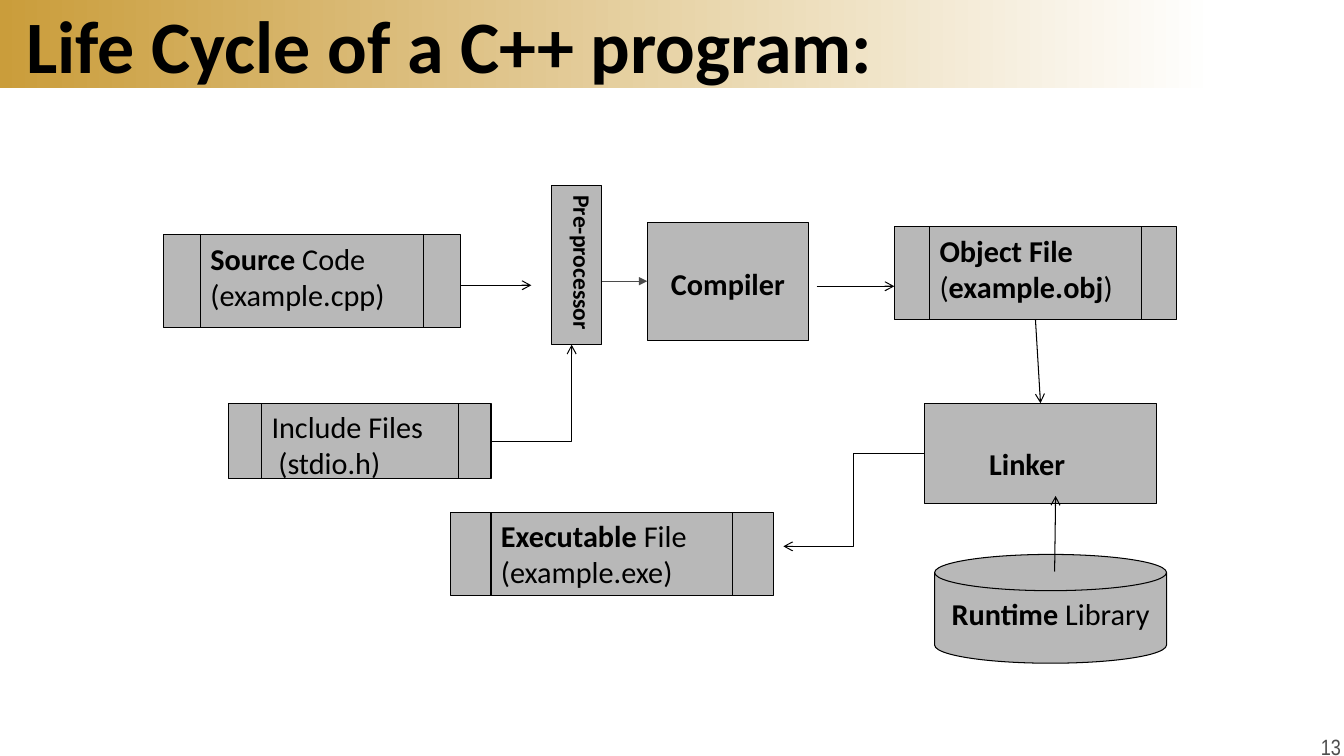
"""Build the slide on the life cycle of a C++ program."""
from lxml import etree
from pptx import Presentation
from pptx.dml.color import RGBColor
from pptx.enum import shapes as kinds, text as styles
from pptx.oxml.ns import qn
from pptx.util import Inches, Pt

TITLE = "Life Cycle of a C++ program:"
NUMBER = "13"
FONT = "Calibri"
GREY, BLACK, DARK = "B8B8B8", "000000", "4B4B4B"
FORM = kinds.MSO_SHAPE
FILE, DISK, RECT = FORM.FLOWCHART_PREDEFINED_PROCESS, FORM.FLOWCHART_MAGNETIC_DISK, FORM.RECTANGLE
LEFT, MID = styles.PP_ALIGN.LEFT, styles.PP_ALIGN.CENTER
LINE, ELBOW = kinds.MSO_CONNECTOR.STRAIGHT, kinds.MSO_CONNECTOR.ELBOW

BOXES = [
    (RECT, (6.42, 2.21, 1.6, 1.17), MID, (0.1, 0.42), [[("Compiler", True)]]),
    (FILE, (8.87, 2.25, 2.8, 0.92), LEFT, (0.1, 0.05),
     [[("Object File", True)], [("(", False), ("example.obj", True), (")", False)]]),
    (FILE, (2.27, 4, 2.6, 0.75), LEFT, (0.1, 0.05),
     [[("Include Files", False)], [(" (stdio.h)", False)]]),
    (FILE, (1.62, 2.33, 2.95, 0.92), LEFT, (0.1, 0.05),
     [[("Source", True), (" Code (example.cpp)", False)]]),
    (RECT, (9.17, 4, 2.3, 1), LEFT, (0.64, 0.42), [[("Linker", True)]]),
    (DISK, (9.27, 5.5, 2.3, 1.08), MID, (0.1, 0.05),
     [[("Runtime", True), (" Library", False)]]),
    (FILE, (4.47, 5.08, 3.2, 0.83), LEFT, (0.1, 0.05),
     [[("Executable", True), (" File (example.exe)", False)]]),
]
STAGE = (RECT, (5.47, 1.84, 0.5, 1.58), LEFT, (0.1, 0.05), [[("Pre-processor", True)]])

ARROWS = [
    (LINE, (4.57, 2.83, 5.27, 2.83), BLACK, "arrow"),
    (LINE, (8.1, 2.84, 8.87, 2.84), BLACK, "arrow"),
    (LINE, (10.27, 3.17, 10.32, 4), BLACK, "arrow"),
    (LINE, (10.46, 5.67, 10.47, 4.92), BLACK, "arrow"),
    (LINE, (5.97, 2.79, 6.42, 2.79), DARK, "triangle"),
    (ELBOW, (9.17, 4.5, 7.77, 5.42), BLACK, "arrow"),
]
CORNER = (ELBOW, (4.87, 4.38, 5.67, 3.42), BLACK, "arrow")


def tint(hue):
    return RGBColor.from_string(hue)


def inches(place):
    return [Inches(n) for n in place]


def style(font, size, hue=BLACK, bold=False, name=FONT):
    font.name, font.size, font.bold = name, Pt(size), bold
    font.color.rgb = tint(hue)


def add_box(slide, form, place, align, inset, lines, size=21.6):
    box = slide.shapes.add_shape(form, *inches(place))
    box.shadow.inherit = False
    box.fill.solid()
    box.fill.fore_color.rgb = tint(GREY)
    box.line.color.rgb = tint(BLACK)
    box.line.width = Pt(0.75)
    frame = box.text_frame
    frame.word_wrap = True
    frame.vertical_anchor = styles.MSO_ANCHOR.TOP
    frame.margin_left, frame.margin_top = inches(inset)
    for i, line in enumerate(lines):
        para = frame.add_paragraph() if i else frame.paragraphs[0]
        para.alignment = align
        for words, bold in line:
            run = para.add_run()
            run.text = words
            style(run.font, size, bold=bold)
    return box


def add_arrow(slide, kind, ends, hue, head):
    arrow = slide.shapes.add_connector(kind, *inches(ends))
    arrow.line.color.rgb = tint(hue)
    arrow.line.width = Pt(0.75)
    props = arrow.element.spPr
    etree.SubElement(props.find(qn("a:ln")), qn("a:tailEnd"), type=head)
    etree.SubElement(props, qn("a:effectLst"))
    return arrow


def add_head(slide):
    title = slide.shapes.title
    title.left, title.top, title.width, title.height = inches((0.26, 0.1, 12.81, 0.68))
    frame = title.text_frame
    frame.text = TITLE
    frame.auto_size = styles.MSO_AUTO_SIZE.NONE
    frame.vertical_anchor = styles.MSO_ANCHOR.MIDDLE
    frame.margin_left = frame.margin_top = frame.margin_right = frame.margin_bottom = 0
    frame.paragraphs[0].alignment = LEFT
    style(frame.paragraphs[0].runs[0].font, 52.8, bold=True)

    band = slide.shapes.add_shape(RECT, *inches((0, 0, 12.06, 0.87)))
    band.shadow.inherit = False
    band.line.fill.background()
    band.fill.gradient()
    band.fill.gradient_angle = 0
    for stop, hue in zip(band.fill.gradient_stops, ("CA9D3B", "FFFFFF")):
        stop.color.rgb = tint(hue)
    title.element.addprevious(band.element)


def add_number(slide):
    frame = slide.shapes.add_textbox(*inches((13.04, 7.24, 0.32, 0.26))).text_frame
    frame.text = NUMBER
    frame.word_wrap = False
    frame.margin_left = frame.margin_right = 0
    frame.margin_top = frame.margin_bottom = Inches(0.04)
    frame.paragraphs[0].alignment = MID
    style(frame.paragraphs[0].runs[0].font, 15.8, "4D4D4D", name="Arial Narrow")


def main():
    deck = Presentation()
    deck.slide_width, deck.slide_height = inches((13.33, 7.5))
    slide = deck.slides.add_slide(deck.slide_layouts[5])
    add_head(slide)
    add_number(slide)

    stage = add_box(slide, *STAGE, size=16.8)
    stage.text_frame.word_wrap = False
    stage.element.txBody.bodyPr.set("vert", "vert")
    for box in BOXES:
        add_box(slide, *box)
    for arrow in ARROWS:
        add_arrow(slide, *arrow)
    corner = add_arrow(slide, *CORNER)
    corner.element.spPr.find(qn("a:prstGeom")).set("prst", "bentConnector2")
    deck.save("out.pptx")


if __name__ == "__main__":
    main()
